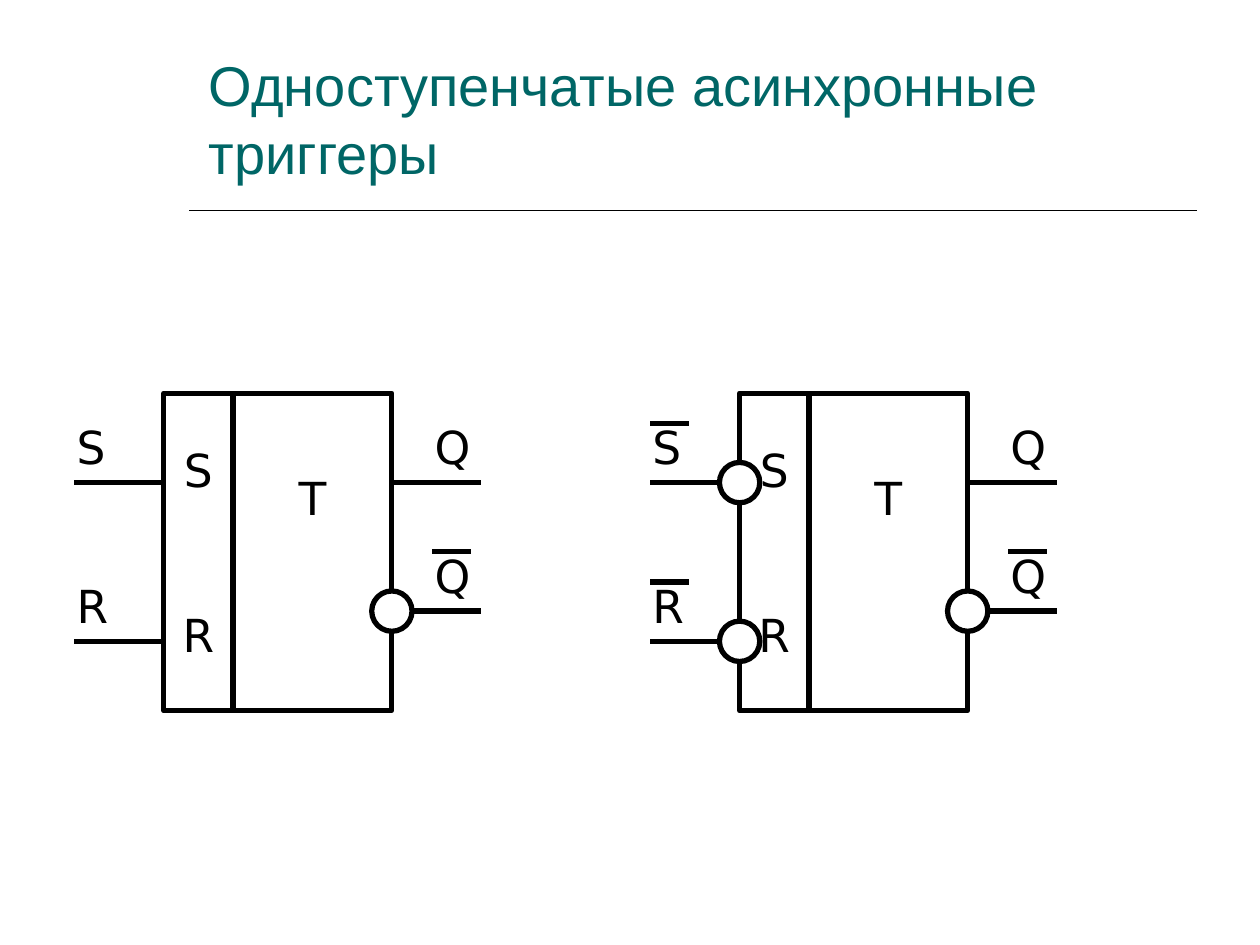
from lxml import etree
from pptx import Presentation
from pptx.dml.color import RGBColor
from pptx.enum.shapes import MSO_CONNECTOR, MSO_SHAPE
from pptx.enum.text import MSO_ANCHOR, PP_ALIGN
from pptx.oxml.ns import qn
from pptx.util import Inches, Pt

BLACK = RGBColor(0x00, 0x00, 0x00)
WHITE = RGBColor(0xFF, 0xFF, 0xFF)
TEAL = RGBColor(0x00, 0x66, 0x66)
STRAIGHT = MSO_CONNECTOR.STRAIGHT
RECTANGLE, OVAL = MSO_SHAPE.RECTANGLE, MSO_SHAPE.OVAL
TOP, MIDDLE, BOTTOM = MSO_ANCHOR.TOP, MSO_ANCHOR.MIDDLE, MSO_ANCHOR.BOTTOM
LEFT, CENTER = PP_ALIGN.LEFT, PP_ALIGN.CENTER

prs = Presentation()
prs.slide_width, prs.slide_height = Inches(10), Inches(7.5)
slide = prs.slides.add_slide(prs.slide_layouts[6])
shapes = slide.shapes


def write(shape, text, size=26, font="DejaVu Sans", color=BLACK, align=LEFT,
          anchor=TOP, wrap=True, gap=0, bottom=0.05):
    frame = shape.text_frame
    frame.word_wrap = wrap
    frame.vertical_anchor = anchor
    frame.margin_bottom = Inches(bottom)
    frame.text = text
    for index, paragraph in enumerate(frame.paragraphs):
        paragraph.alignment = align
        paragraph.space_before = Pt(gap if index else 0)
        paragraph.font.size = Pt(size)
        paragraph.font.name = font
        paragraph.font.color.rgb = color


def draw_line(left, right, y, width=3):
    line = shapes.add_connector(STRAIGHT, Inches(left), Inches(y), Inches(right), Inches(y))
    line.line.color.rgb = BLACK
    line.line.width = Pt(width)
    etree.SubElement(line._element.spPr, qn("a:effectLst"))


draw_line(1.5, 9.5, 1.67, width=1)
title = shapes.add_textbox(Inches(1.56), Inches(0.39), Inches(7.88), Inches(1.13))
write(title, "Одноступенчатые асинхронные триггеры", size=32, font="Arial", color=TEAL,
      anchor=BOTTOM)

SET_Y, RESET_Y, INVERSE_Y = 3.83, 5.09, 4.85
LEAD = 0.71

for block_left, inverted_inputs in ((1.3, False), (5.87, True)):
    body_left = block_left + 0.55
    block_right = body_left + 1.26
    input_left = block_left - LEAD

    parts = [
        (RECTANGLE, block_left, 3.12, 0.55, 2.52, "S\nR", 0.05),
        (RECTANGLE, body_left, 3.12, 1.26, 2.52, "T", 0.91),
    ]
    pins = [
        ("S", input_left, SET_Y, input_left - 0.08, input_left, inverted_inputs),
        ("R", input_left, RESET_Y, input_left - 0.08, input_left, inverted_inputs),
        ("Q", block_right, SET_Y, block_right + 0.24, block_right + 0.32, False),
        ("Q", block_right, INVERSE_Y, block_right + 0.24, block_right + 0.32, True),
    ]
    for name, lead_left, y, label_left, bar_left, inverted in pins:
        draw_line(lead_left, lead_left + LEAD, y)
        label = shapes.add_textbox(Inches(label_left), Inches(y - 0.55), Inches(LEAD), Inches(0.54))
        write(label, name)
        if inverted:
            draw_line(bar_left, bar_left + 0.31, y - 0.47)
            side = block_left if lead_left < block_left else block_right
            parts.append((OVAL, side - 0.16, y - 0.16, 0.32, 0.32, "", 0.05))

    for outline, left, top, width, height, text, bottom in parts:
        part = shapes.add_shape(outline, Inches(left), Inches(top), Inches(width), Inches(height))
        part.shadow.inherit = False
        part.fill.solid()
        part.fill.fore_color.rgb = WHITE
        part.line.color.rgb = BLACK
        part.line.width = Pt(3)
        if text:
            write(part, text, align=CENTER, anchor=MIDDLE, wrap=False, gap=63, bottom=bottom)

prs.save("out.pptx")
